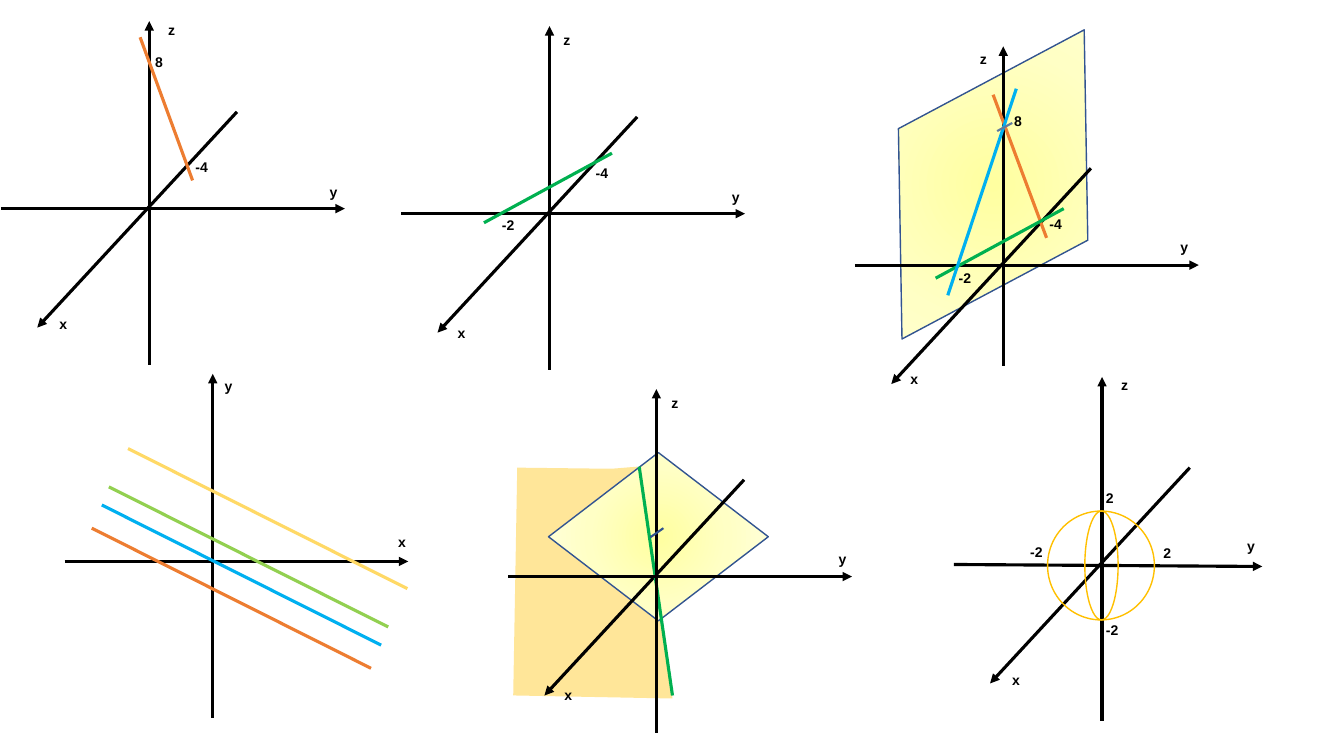
from dataclasses import dataclass

from lxml import etree
from pptx import Presentation
from pptx import util as u
from pptx.dml import color
from pptx.enum import shapes, text
from pptx.oxml import ns


@dataclass(frozen=True)
class Theme:
    """Colours, type and line widths of the slide."""
    font: str = "Arial"
    label_size: float = 10
    thick: float = 2.25
    tick: float = 1.5
    thin: float = 1
    axis: str = "000000"
    orange: str = "ED7D31"
    blue: str = "00B0F0"
    green: str = "00B050"
    lime: str = "92D050"
    yellow: str = "FFD966"
    gold: str = "FFC000"
    sand: str = "FFE699"
    outline: str = "325491"
    tick_pale: str = "607A9E"
    tick_dark: str = "2F528F"
    plane: tuple = ((0, "FFFFA0"), (50, "FFFFC5"), (100, "FFFFE3"))


THEME = Theme()
GRID = u.Inches(0.1)
LEFT, RIGHT, UP, DOWN = -14.7, 19.4, -18.6, 15.5
DEPTH = ((8.7, -9.6), (-11.1, 11.8))
ACROSS = ((LEFT, 0), (RIGHT, 0))
UPRIGHT = ((0, DOWN), (0, UP))


def rgb(value):
    """Turn a hex string into a colour."""
    return color.RGBColor.from_string(value)


@dataclass
class Box:
    """A panel's box in grid columns and rows, with axes crossing inside it."""
    shapes: object
    column: float
    row: float

    def place(self, x, y):
        """Give the slide position of a point counted from the crossing."""
        return (int((self.column - LEFT + x) * GRID),
                int((self.row - UP + y) * GRID))


def add_label(box, wording, x, y, *, width=2.8, size=THEME.label_size,
              bold=True, fill=THEME.axis):
    """Write a text with its format at a point of the box."""
    label = box.shapes.add_textbox(*box.place(x, y), int(width * GRID), int(2.7 * GRID))
    frame = label.text_frame
    frame.word_wrap = True
    frame.auto_size = text.MSO_AUTO_SIZE.SHAPE_TO_FIT_TEXT
    run = frame.paragraphs[0].add_run()
    run.text = wording
    run.font.name, run.font.size, run.font.bold = THEME.font, u.Pt(size), bold
    run.font.color.rgb = rgb(fill)


def add_labels(box, labels, width=2.8):
    """Write several labels of one width."""
    for wording, x, y in labels:
        add_label(box, wording, x, y, width=width)


def add_line(box, start, end, stroke, width=THEME.thick, arrow=False):
    """Draw a straight line, with an arrowhead at its end if asked."""
    line = box.shapes.add_connector(
        shapes.MSO_CONNECTOR.STRAIGHT, *box.place(*start), *box.place(*end))
    line.line.color.rgb = rgb(stroke)
    line.line.width = u.Pt(width)
    properties = line.element.spPr
    if arrow:
        etree.SubElement(properties.find(ns.qn("a:ln")), ns.qn("a:tailEnd"), type="triangle")
    etree.SubElement(properties, ns.qn("a:effectLst"))


def add_axes(box, *axes):
    """Draw the axes of a panel as arrows."""
    for start, end in axes:
        add_line(box, start, end, THEME.axis, arrow=True)


def add_outline(box, kind, x, y, width, height, stroke):
    """Draw an unfilled preset shape."""
    shape = box.shapes.add_shape(
        kind, *box.place(x, y), int(width * GRID), int(height * GRID))
    shape.shadow.inherit = False
    shape.fill.background()
    shape.line.color.rgb = rgb(stroke)
    shape.line.width = u.Pt(THEME.thin)
    return shape


def add_plane(box, x, y, width, height, rotation=0):
    """Draw a diamond plane with a gradient from its centre."""
    plane = add_outline(box, shapes.MSO_SHAPE.DIAMOND, x, y, width, height, THEME.outline)
    plane.rotation = rotation
    gradient = etree.Element(ns.qn("a:gradFill"), rotWithShape="1")
    stops = etree.SubElement(gradient, ns.qn("a:gsLst"))
    for share, value in THEME.plane:
        stop = etree.SubElement(stops, ns.qn("a:gs"), pos=str(share * 1000))
        etree.SubElement(stop, ns.qn("a:srgbClr"), val=value)
    circle = etree.SubElement(gradient, ns.qn("a:path"), {"path": "circle"})
    etree.SubElement(circle, ns.qn("a:fillToRect"),
                     {side: "50000" for side in "ltrb"})
    properties = plane.element.spPr
    properties.replace(properties.find(ns.qn("a:noFill")), gradient)


def draw_xz_line(box):
    """Draw the line through x = -4 and z = 8."""
    add_axes(box, UPRIGHT, DEPTH, ACROSS)
    add_line(box, (4.3, -2.8), (-0.9, -17), THEME.orange)
    add_labels(box, [("-4", 3.6, -5.5), ("8", -0.4, -15.9)], width=4.7)
    add_labels(box, [("x", -9.9, 10.1), ("y", 16.9, -3), ("z", 0.9, -19.1)])


def draw_xy_line(box):
    """Draw the line through x = -4 and y = -2."""
    add_axes(box, UPRIGHT, DEPTH, ACROSS)
    add_line(box, (6.2, -6), (-6.5, 0.9), THEME.green)
    add_labels(box, [("-4", 3.6, -5.4), ("-2", -5.7, -0.2)], width=4.7)
    add_labels(box, [("x", -10.1, 10.5), ("y", 17.1, -3), ("z", 0.4, -18.6)])


def draw_traced_plane(box):
    """Draw the plane with its three traces."""
    add_plane(box, -11.9, -25.8, 21.8, 35.6, rotation=30.5)
    add_axes(box, ((0, 10), (0, -21.7)), DEPTH, ACROSS)
    add_line(box, (4.3, -2.7), (-1, -16.9), THEME.orange)
    add_line(box, (6, -5.6), (-6.7, 1.3), THEME.green)
    add_line(box, (-5.5, 3), (1.3, -17.5), THEME.blue)
    add_line(box, (-0.6, -13.3), (0.9, -14.1), THEME.tick_pale, THEME.tick)
    add_labels(box, [("-4", 3.6, -5.4), ("-2", -5.4, -0.1), ("8", 0.1, -15.6)], width=4.7)
    add_labels(box, [("x", -10.2, 10), ("y", 16.6, -3.1), ("z", -3.3, -21.8)])


def draw_level_lines(box):
    """Draw the family of parallel lines in the x-y plane."""
    add_axes(box, UPRIGHT, ACROSS)
    for x, y, stroke in [(-12, -3.3, THEME.orange), (-11, -5.6, THEME.blue),
                         (-10.3, -7.4, THEME.lime), (-8.4, -11.2, THEME.yellow)]:
        add_line(box, (x + 27.7, y + 13.9), (x, y), stroke)
    add_labels(box, [("x", 17.4, -3.3), ("y", 0.2, -18.7)])


def draw_crossing_planes(box):
    """Draw two planes that meet in a line."""
    corners = [(-1.9, -10.9), (-4.3, -10.7), (-5.5, -10.7),
               (-13.8, -10.8), (-14.2, 11.8), (1.6, 12.1)]
    points = [box.place(*corner) for corner in corners]
    builder = box.shapes.build_freeform(*points[0])
    builder.add_line_segments(points[1:], close=True)
    sheet = builder.convert_to_shape()
    sheet.shadow.inherit = False
    sheet.fill.solid()
    sheet.fill.fore_color.rgb = rgb(THEME.sand)
    sheet.line.fill.background()
    add_plane(box, -10.7, -12.3, 21.8, 16.7)
    add_axes(box, DEPTH)
    add_line(box, (1.6, 11.8), (-1.7, -10.9), THEME.green)
    add_axes(box, ACROSS, UPRIGHT)
    add_line(box, (-0.6, -3.9), (0.7, -4.8), THEME.tick_dark, THEME.tick)
    add_labels(box, [("x", -10.1, 10.4), ("y", 17.1, -3.1), ("z", 0.5, -18.6)])


def draw_sphere(box):
    """Draw the sphere of radius 2."""
    add_axes(box, UPRIGHT, DEPTH, ((LEFT, 0), (15.9, 0.2)))
    for x, width in [(-5.4, 10.6), (-1.7, 3.3)]:
        add_outline(box, shapes.MSO_SHAPE.OVAL, x, -5.3, width, 10.8, THEME.gold)
    add_labels(box, [("x", -9.9, 10.1), ("y", 13.4, -3.2), ("z", 0.9, -19.1),
                     ("2", -0.6, -7.9), ("2", 5.1, -2.5)])
    add_labels(box, [("-2", -0.6, 5.2), ("-2", -8.1, -2.6)], width=3.3)


PANELS = [(draw_level_lines, 6.4, 37.1), (draw_xy_line, 39.8, 2.6),
          (draw_xz_line, 0.1, 2.1), (draw_traced_plane, 84.8, 7.7),
          (draw_crossing_planes, 50.4, 38.6), (draw_sphere, 94.6, 37.4)]

presentation = Presentation()
presentation.slide_width, presentation.slide_height = u.Inches(13.33), u.Inches(7.5)
slide = presentation.slides.add_slide(presentation.slide_layouts[6])
for draw, column, row in PANELS:
    draw(Box(slide.shapes.add_group_shape().shapes, column, row))
presentation.save("out.pptx")
